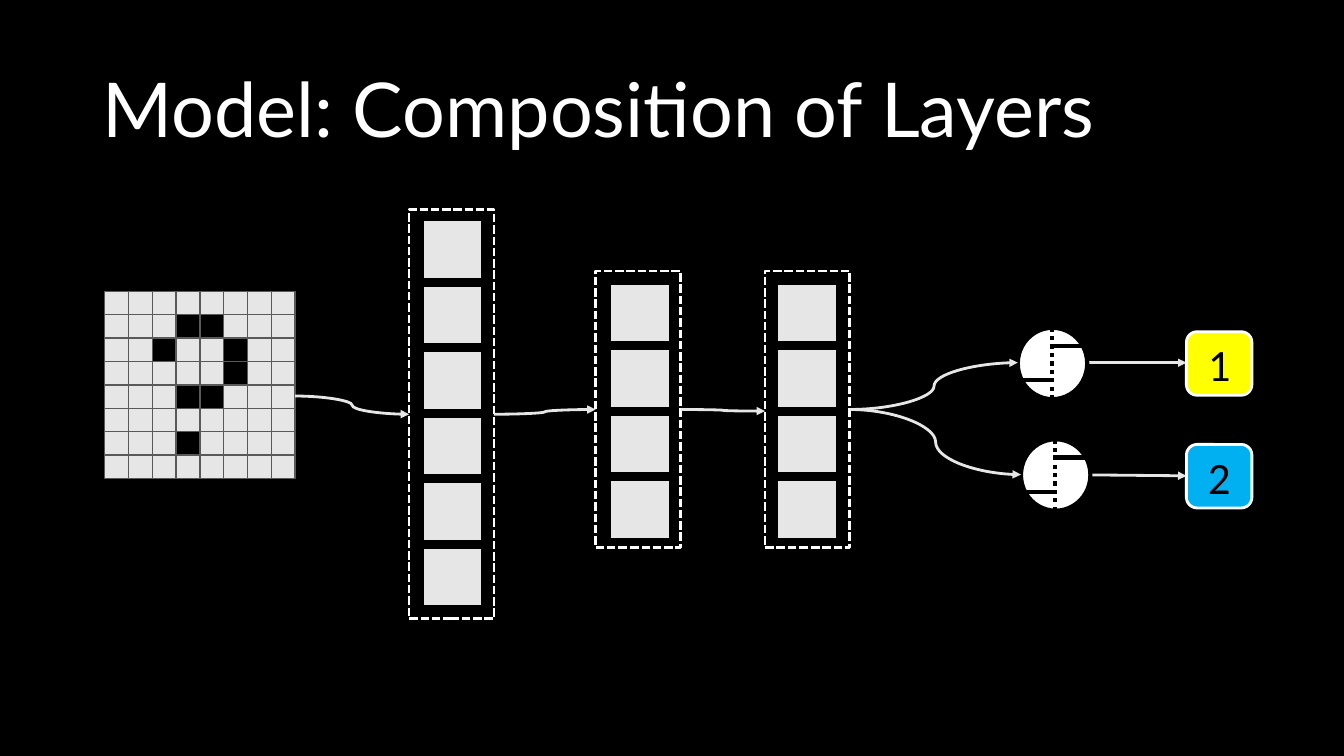
from dataclasses import dataclass

from lxml.etree import SubElement
from pptx import Presentation
from pptx.dml.color import RGBColor
from pptx.enum.dml import MSO_LINE as Dash
from pptx.enum.shapes import MSO_CONNECTOR as Link, MSO_SHAPE as Shape
from pptx.enum.text import MSO_ANCHOR as Anchor, PP_ALIGN as Align
from pptx.oxml.ns import qn
from pptx.util import Cm, Pt


@dataclass(frozen=True)
class Theme:
    """Colours, fonts and type sizes of the slide."""
    black: str = "000000"
    white: str = "FFFFFF"
    light: str = "E7E6E6"
    grid: str = "595959"
    yellow: str = "FFFF00"
    blue: str = "00B0F0"
    title_font: str = "Lato"
    label_font: str = "Calibri"
    title_size: int = 54
    label_size: int = 32


def write_text(frame, text, *, font, size, color, align=Align.LEFT, spacing=1.0):
    """Write one formatted paragraph, centred vertically."""
    frame.word_wrap = True
    frame.vertical_anchor = Anchor.MIDDLE
    para = frame.paragraphs[0]
    para.alignment = align
    para.line_spacing = spacing
    span = para.add_run()
    span.text = text
    span.font.name = font
    span.font.size = Pt(size)
    span.font.color.rgb = RGBColor.from_string(color)


class Diagram:
    """Draws network parts on one page, with lengths in centimetres."""

    def __init__(self, page, theme):
        """Keep the page and theme, and paint the background."""
        self.page = page
        self.theme = theme
        background = page.background.fill
        background.solid()
        background.fore_color.rgb = RGBColor.from_string(theme.black)

    def title(self, text, left, top, width, height):
        """Add the page heading."""
        box = self.page.shapes.add_textbox(Cm(left), Cm(top), Cm(width), Cm(height))
        write_text(box.text_frame, text, font=self.theme.title_font,
                   size=self.theme.title_size, color=self.theme.white, spacing=0.9)

    def stroke(self, line, color, weight, dash=None):
        """Format an outline or a connector line."""
        line.color.rgb = RGBColor.from_string(color)
        line.width = Pt(weight)
        if dash is not None:
            line.dash_style = dash

    def box(self, kind, left, top, width, height, *, fill, line, weight=2, dash=None):
        """Add a preset shape, unfilled when fill is None."""
        box = self.page.shapes.add_shape(kind, Cm(left), Cm(top), Cm(width), Cm(height))
        box.shadow.inherit = False
        if fill is None:
            box.fill.background()
        else:
            box.fill.solid()
            box.fill.fore_color.rgb = RGBColor.from_string(fill)
        self.stroke(box.line, line, weight, dash)
        return box

    def link(self, start, end, *, color, kind=Link.STRAIGHT, weight=2, dash=None,
             arrow=False):
        """Add a straight or curved line between two points."""
        link = self.page.shapes.add_connector(kind, *map(Cm, (*start, *end)))
        self.stroke(link.line, color, weight, dash)
        if arrow:
            SubElement(link.line._get_or_add_ln(), qn("a:tailEnd"), type="triangle")
        SubElement(link._element.spPr, qn("a:effectLst"))

    def arrow(self, start, end, kind=Link.CURVE):
        """Add an arrow between two stages."""
        self.link(start, end, color=self.theme.light, kind=kind, arrow=True)

    def pixels(self, rows, left, top, width, height):
        """Draw the input bitmap, with # for dark cells."""
        for row, marks in enumerate(rows):
            for column, mark in enumerate(marks):
                fill = self.theme.black if mark == "#" else self.theme.light
                self.box(Shape.RECTANGLE, left + column * width, top + row * height,
                         width, height, fill=fill, line=self.theme.grid, weight=1)

    def layer(self, count, tile_left, tile_top, left, top, height):
        """Draw a column of units inside a dashed frame."""
        for unit in range(count):
            self.box(Shape.RECTANGLE, tile_left, tile_top + unit * 1.65, 1.52, 1.5,
                     fill=self.theme.light, line=self.theme.black)
        self.box(Shape.RECTANGLE, left, top, 2.14, height, fill=None,
                 line=self.theme.white, dash=Dash.SQUARE_DOT)

    def step_unit(self, left, top):
        """Draw a threshold unit with its step function."""
        black = self.theme.black
        self.box(Shape.OVAL, left, top, 1.75, 1.8, fill=self.theme.white,
                 line=black, weight=3)
        for x1, y1, x2, y2, dash in ((0.86, 0, 0.86, 1.78, Dash.ROUND_DOT),
                                     (0.81, 0.46, 1.65, 0.46, None),
                                     (0.08, 1.32, 0.91, 1.32, None)):
            self.link((left + x1, top + y1), (left + x2, top + y2),
                      color=black, weight=3, dash=dash)

    def label(self, text, left, top, fill):
        """Draw a rounded output class."""
        box = self.box(Shape.ROUNDED_RECTANGLE, left, top, 1.65, 1.6, fill=fill,
                       line=self.theme.white)
        write_text(box.text_frame, text, font=self.theme.label_font,
                   size=self.theme.label_size, color=self.theme.black,
                   align=Align.CENTER)


QUESTION_MARK = (
    "........",
    "...##...",
    "..#..#..",
    ".....#..",
    "...##...",
    "........",
    "...#....",
    "........",
)
LAYERS = (
    (6, 10.64, 5.54, 10.31, 5.28, 10.31),
    (4, 15.37, 7.14, 15.01, 6.83, 6.96),
    (4, 19.58, 7.14, 19.28, 6.83, 6.96),
)
FLOWS = (
    ((7.44, 9.98), (10.31, 10.44)),
    ((12.45, 10.44), (15.01, 10.32)),
    ((17.16, 10.32), (19.28, 10.36)),
    ((21.43, 10.32), (25.65, 9.14)),
    ((21.43, 10.32), (25.73, 11.96)),
)


def main():
    """Build the slide and save it."""
    deck = Presentation()
    deck.slide_width = Cm(33.87)
    deck.slide_height = Cm(19.05)
    theme = Theme()
    diagram = Diagram(deck.slides.add_slide(deck.slide_layouts[6]), theme)
    diagram.title("Model: Composition of Layers", 2.34, 1.02, 29.21, 3.68)
    diagram.pixels(QUESTION_MARK, 2.64, 7.34, 0.6, 0.59)
    outputs = (("1", 25.65, 8.26, 8.36, 9.14, theme.yellow),
               ("2", 25.73, 11.07, 11.2, 11.99, theme.blue))
    for text, unit_left, unit_top, label_top, arrow_end, fill in outputs:
        diagram.label(text, 29.9, label_top, fill)
        diagram.arrow((unit_left, unit_top + 0.88), (29.9, arrow_end), Link.STRAIGHT)
        diagram.step_unit(unit_left, unit_top)
    for layer in LAYERS:
        diagram.layer(*layer)
    for start, end in FLOWS:
        diagram.arrow(start, end)
    deck.save("out.pptx")


if __name__ == "__main__":
    main()
